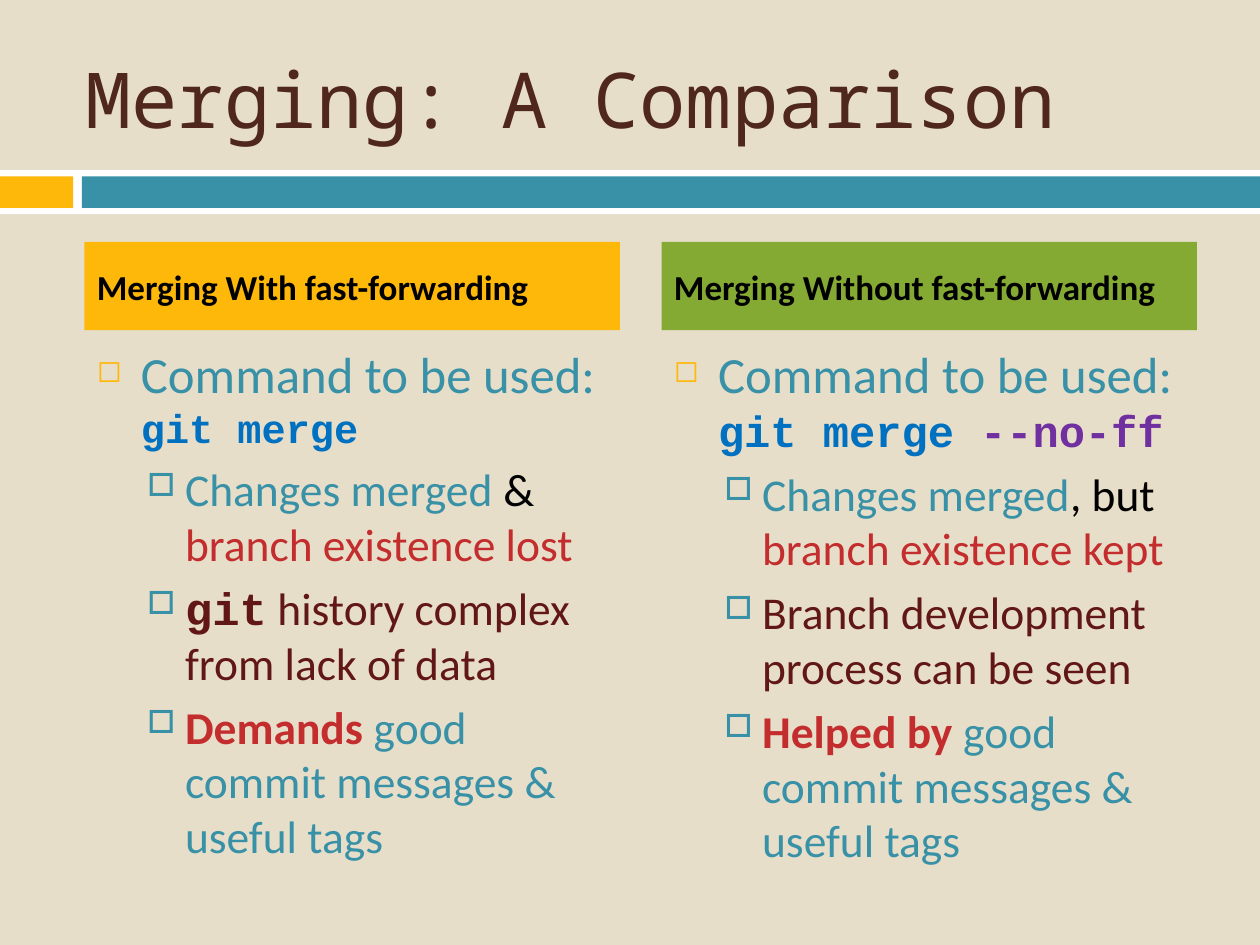
from dataclasses import dataclass

import lxml.etree
import pptx
import pptx.dml.color
import pptx.enum.shapes
import pptx.enum.text
import pptx.oxml.ns
import pptx.util

EMU_PER_PX = 9144
TEAL, GOLD, GREEN = "3891A7", "FEB80A", "84AA33"
RED, MAROON, BLACK = "C32D2E", "621717", "000000"
BLUE, PURPLE, BROWN = "0070C0", "7030A0", "4F271C"
WHITE, SAND = "FFFFFF", "E7DEC9"
CODE_FONT = "Courier New"


@dataclass(frozen=True)
class Span:
    text: str
    color: str
    size: int = 26
    bold: bool = False
    font: str = "Calibri"


@dataclass(frozen=True)
class Bullet:
    char: str
    color: str
    percent: int
    margin: int
    hang: int
    space_before: float


@dataclass(frozen=True)
class Column:
    left: int
    fill: str
    heading: str
    command: list[Span]
    points: list[list[Span]]


COMMAND_BULLET = Bullet("◻", GOLD, 60, 35, 35, 7)
POINT_BULLET = Bullet("□", TEAL, 70, 70, 30, 5.5)
COLUMN_WIDTH = 425

COLUMNS = [
    Column(
        67, GOLD, "Merging With fast-forwarding",
        [Span("git merge", BLUE, 23, True, CODE_FONT)],
        [
            [Span("Changes merged ", TEAL), Span("& ", BLACK), Span("branch existence lost", RED)],
            [Span("git", MAROON, bold=True, font=CODE_FONT),
             Span(" history complex from lack of data", MAROON)],
            [Span("Demands", RED, bold=True),
             Span(" good commit messages & useful tags", TEAL)],
        ],
    ),
    Column(
        525, GREEN, "Merging Without fast-forwarding",
        [Span("git merge ", BLUE, 25, True, CODE_FONT),
         Span("--no-ff", PURPLE, 25, True, CODE_FONT)],
        [
            [Span("Changes merged", TEAL), Span(", but ", BLACK), Span("branch existence kept", RED)],
            [Span("Branch development process can be seen", MAROON)],
            [Span("Helped by ", RED, bold=True),
             Span("good commit messages & useful tags", TEAL)],
        ],
    ),
]


def px(length: int) -> pptx.util.Emu:
    return pptx.util.Emu(length * EMU_PER_PX)


def paint(target, color: str) -> None:
    if hasattr(target, "solid"):
        target.solid()
        target = target.fore_color
    target.rgb = pptx.dml.color.RGBColor.from_string(color)


def add_bar(slide, left: int, top: int, width: int, height: int, color: str):
    bar = slide.shapes.add_shape(
        pptx.enum.shapes.MSO_SHAPE.RECTANGLE, px(left), px(top), px(width), px(height))
    bar.shadow.inherit = False
    paint(bar.fill, color)
    bar.line.fill.background()
    return bar


def add_text_area(slide, left: int, top: int, width: int, height: int):
    return slide.shapes.add_textbox(px(left), px(top), px(width), px(height)).text_frame


def style_font(font, span: Span) -> None:
    font.name = span.font
    font.size = pptx.util.Pt(span.size)
    font.bold = span.bold
    paint(font.color, span.color)


def write_spans(paragraph, spans: list[Span]) -> None:
    for span in spans:
        run = paragraph.add_run()
        run.text = span.text
        style_font(paragraph.font if len(spans) == 1 else run.font, span)


def write_line(frame, span: Span, space_before: float = 0) -> None:
    frame.word_wrap = True
    frame.vertical_anchor = pptx.enum.text.MSO_ANCHOR.MIDDLE
    line = frame.paragraphs[0]
    line.alignment = pptx.enum.text.PP_ALIGN.LEFT
    line.space_before = pptx.util.Pt(space_before)
    write_spans(line, [span])


def set_bullet(paragraph, bullet: Bullet) -> None:
    paragraph.space_before = pptx.util.Pt(bullet.space_before)
    properties = paragraph._p.get_or_add_pPr()
    properties.set("marL", str(px(bullet.margin)))
    properties.set("indent", str(-px(bullet.hang)))

    def add(parent, tag: str, **attributes: str):
        return lxml.etree.SubElement(parent, pptx.oxml.ns.qn(tag), attributes)

    add(add(properties, "a:buClr"), "a:srgbClr", val=bullet.color)
    add(properties, "a:buSzPct", val=str(bullet.percent * 1000))
    add(properties, "a:buChar", char=bullet.char)


def add_column(slide, column: Column) -> None:
    body = add_text_area(slide, column.left, 267, COLUMN_WIDTH, 467)
    body.word_wrap = True
    command = body.paragraphs[0]
    set_bullet(command, COMMAND_BULLET)
    lead = Span("Command to be used:", TEAL, 29)
    intro = command.add_run()
    intro.text = lead.text
    style_font(intro.font, lead)
    command.add_line_break()
    for span in column.command:
        run = command.add_run()
        run.text = span.text
        style_font(run.font, span)
    for spans in column.points:
        point = body.add_paragraph()
        point.level = 1
        set_bullet(point, POINT_BULLET)
        write_spans(point, spans)

    header = add_bar(slide, column.left, 192, COLUMN_WIDTH, 70, column.fill)
    write_line(header.text_frame, Span(column.heading, BLACK, 20, True), 7)


def main() -> None:
    deck = pptx.Presentation()
    deck.slide_width, deck.slide_height = px(1000), px(750)
    slide = deck.slides.add_slide(deck.slide_layouts[6])
    paint(slide.background.fill, SAND)
    add_bar(slide, 0, 135, 1000, 35, WHITE)
    add_bar(slide, 0, 140, 58, 25, GOLD)
    add_bar(slide, 65, 140, 935, 25, TEAL)
    title = add_text_area(slide, 58, 30, 933, 95)
    write_line(title, Span("Merging: A Comparison", BROWN, 44, font="Noto Sans Mono"))
    for column in COLUMNS:
        add_column(slide, column)
    deck.save("out.pptx")


if __name__ == "__main__":
    main()
